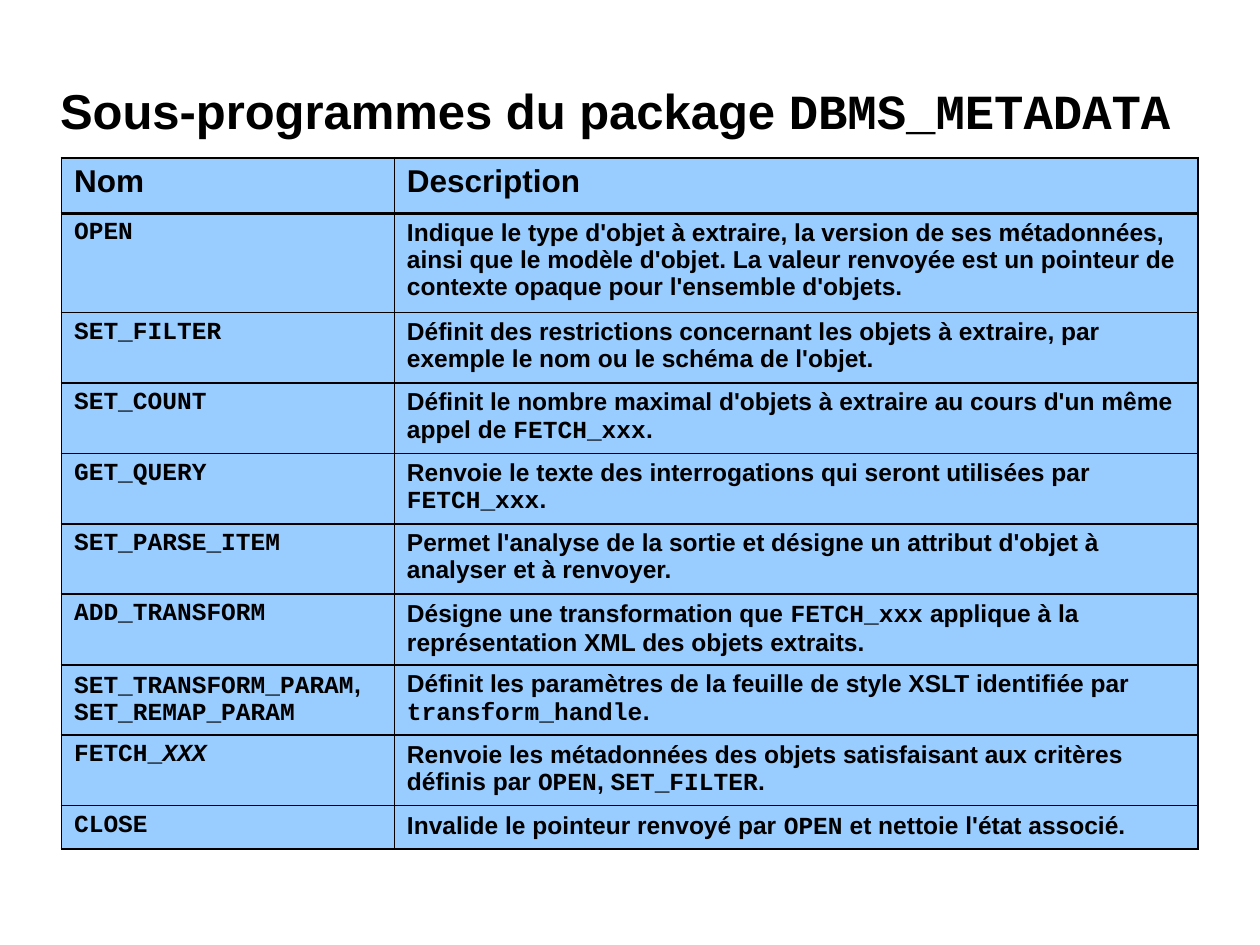
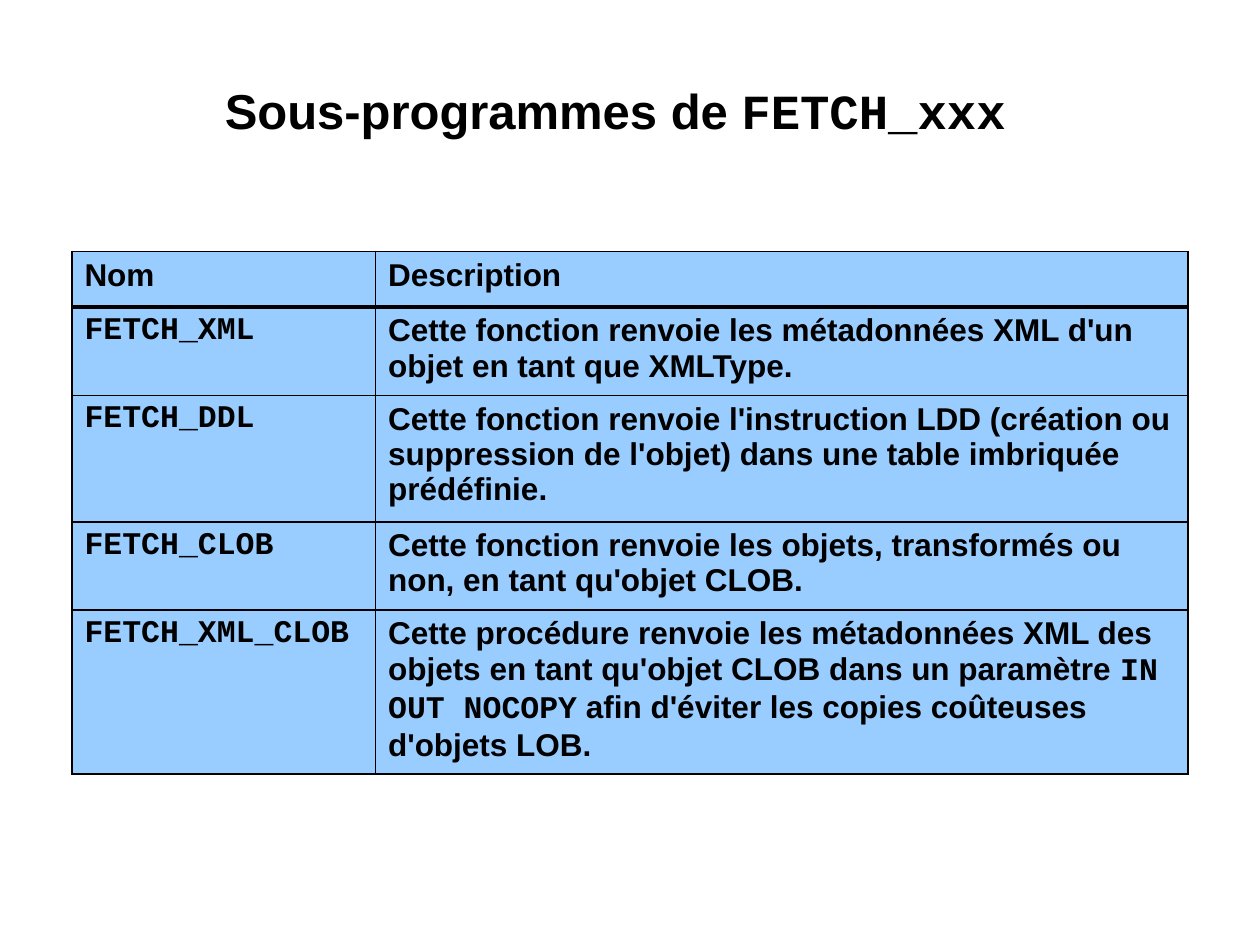
from lxml.etree import SubElement
from pptx import Presentation
from pptx.dml.color import RGBColor
from pptx.enum.text import MSO_ANCHOR, PP_ALIGN
from pptx.oxml.ns import qn
from pptx.util import Cm, Pt

BLACK = RGBColor(0, 0, 0)
BLUE = RGBColor(0x99, 0xCC, 0xFF)
SANS, MONO = "Arial", "Courier New"
THIN, THICK = Pt(1.08), Pt(2.21)


def write(para, text, size=18, space=None, align=PP_ALIGN.LEFT):
    """Write bold text: `code` is monospaced, *word* is italic."""
    para.alignment = align
    if space:
        para.line_spacing = space
    for i, part in enumerate(text.split("`")):
        for j, piece in enumerate(part.split("*")):
            for k, line in enumerate(piece.split("\n")):
                if k:
                    rule = SubElement(para._p, qn("a:br"))
                    SubElement(rule, qn("a:rPr"), sz=str(size * 100), b="1")
                if line:
                    run = para.add_run()
                    run.text = line
                    font = run.font
                    font.name = MONO if i % 2 else SANS
                    font.size, font.bold = Pt(size), True
                    font.italic = j % 2 == 1
                    font.color.rgb = BLACK


def edge(cell, widths):
    """Fill the cell and draw its left, right, top and bottom borders."""
    cell.fill.solid()
    cell.fill.fore_color.rgb = BLUE
    props = cell._tc.get_or_add_tcPr()
    for n, (side, width) in enumerate(zip("LRTB", widths)):
        line = SubElement(props, qn(f"a:ln{side}"), w=str(int(width)))
        fill = SubElement(line, qn("a:solidFill"))
        SubElement(fill, qn("a:srgbClr"), val=str(BLACK))
        props.insert(n, line)


# Content of the slides: the first row of each table is its header
HEAD = ("Nom", "Description")
PAGES = [
    dict(
        title="Sous-programmes du package `DBMS_METADATA `",
        left=0.99, wide=23.42, at=(1.24, 3.18), size=14, space=0.98,
        cols=(6.71, 16.2), highs=[1.12, 2.0] + [1.42] * 7 + [0.87],
        rows=[
            HEAD,
            ("`OPEN`", "Indique le type d'objet à extraire, la version de ses "
             "métadonnées, ainsi que le modèle d'objet. La valeur renvoyée est un "
             "pointeur de contexte opaque pour l'ensemble d'objets."),
            ("`SET_FILTER`", "Définit des restrictions concernant les objets à "
             "extraire, par exemple le nom ou le schéma de l'objet."),
            ("`SET_COUNT`", "Définit le nombre maximal d'objets à extraire au "
             "cours d'un même appel de `FETCH_xxx`."),
            ("`GET_QUERY`", "Renvoie le texte des interrogations qui seront "
             "utilisées par `FETCH_xxx`."),
            ("`SET_PARSE_ITEM`", "Permet l'analyse de la sortie et désigne un "
             "attribut d'objet à analyser et à renvoyer."),
            ("`ADD_TRANSFORM`", "Désigne une transformation que `FETCH_xxx` "
             "applique à la représentation XML des objets extraits."),
            ("`SET_TRANSFORM_PARAM`,\n`SET_REMAP_PARAM`", "Définit les paramètres "
             "de la feuille de style XSLT identifiée par `transform_handle`."),
            ("`FETCH_*XXX*`", "Renvoie les métadonnées des objets satisfaisant "
             "aux critères définis par `OPEN`, `SET_FILTER`."),
            ("`CLOSE`", "Invalide le pointeur renvoyé par `OPEN` et nettoie "
             "l'état associé."),
        ],
    ),
    dict(
        title="Sous-programmes de `FETCH_xxx `",
        left=2.54, wide=20.32, at=(1.45, 5.07), size=18, space=None,
        cols=(6.12, 16.38), highs=[1.12, 1.78, 2.55, 1.78, 3.3],
        rows=[
            HEAD,
            ("`FETCH_XML`", "Cette fonction renvoie les métadonnées XML d'un "
             "objet en tant que XMLType."),
            ("`FETCH_DDL`", "Cette fonction renvoie l'instruction LDD (création "
             "ou suppression de l'objet) dans une table imbriquée prédéfinie."),
            ("`FETCH_CLOB`", "Cette fonction renvoie les objets, transformés ou "
             "non, en tant qu'objet CLOB."),
            ("`FETCH_XML_CLOB`", "Cette procédure renvoie les métadonnées XML des "
             "objets en tant qu'objet CLOB dans un paramètre `IN OUT NOCOPY` afin "
             "d'éviter les copies coûteuses d'objets LOB."),
        ],
    ),
]

deck = Presentation()
deck.slide_width, deck.slide_height = Cm(25.4), Cm(19.05)

for page in PAGES:
    slide = deck.slides.add_slide(deck.slide_layouts[6])

    # Title
    box = slide.shapes.add_textbox(Cm(page["left"]), Cm(1.47), Cm(page["wide"]), Cm(2.44))
    frame = box.text_frame
    frame.word_wrap = True
    frame.vertical_anchor = MSO_ANCHOR.TOP
    frame.margin_left = frame.margin_right = frame.margin_bottom = Cm(0.03)
    frame.margin_top = Cm(0.16)
    write(frame.paragraphs[0], page["title"], size=28, align=PP_ALIGN.CENTER)

    # Table grid
    rows, cols, highs = page["rows"], page["cols"], page["highs"]
    x, y = page["at"]
    table = slide.shapes.add_table(
        len(rows), len(cols), Cm(x), Cm(y), Cm(sum(cols)), Cm(sum(highs))).table
    table.first_row = table.horz_banding = False
    for col, width in zip(table.columns, cols):
        col.width = Cm(width)
    for row, high in zip(table.rows, highs):
        row.height = Cm(high)

    # Cells, with a thick line under the header
    for r, texts in enumerate(rows):
        top = THICK if r == 1 else THIN
        base = THICK if r == 0 else THIN
        for c, text in enumerate(texts):
            cell = table.cell(r, c)
            edge(cell, (THIN, THIN, top, base))
            para = cell.text_frame.paragraphs[0]
            if r:
                write(para, text, size=page["size"], space=page["space"])
            else:
                write(para, text)

deck.save("out.pptx")
